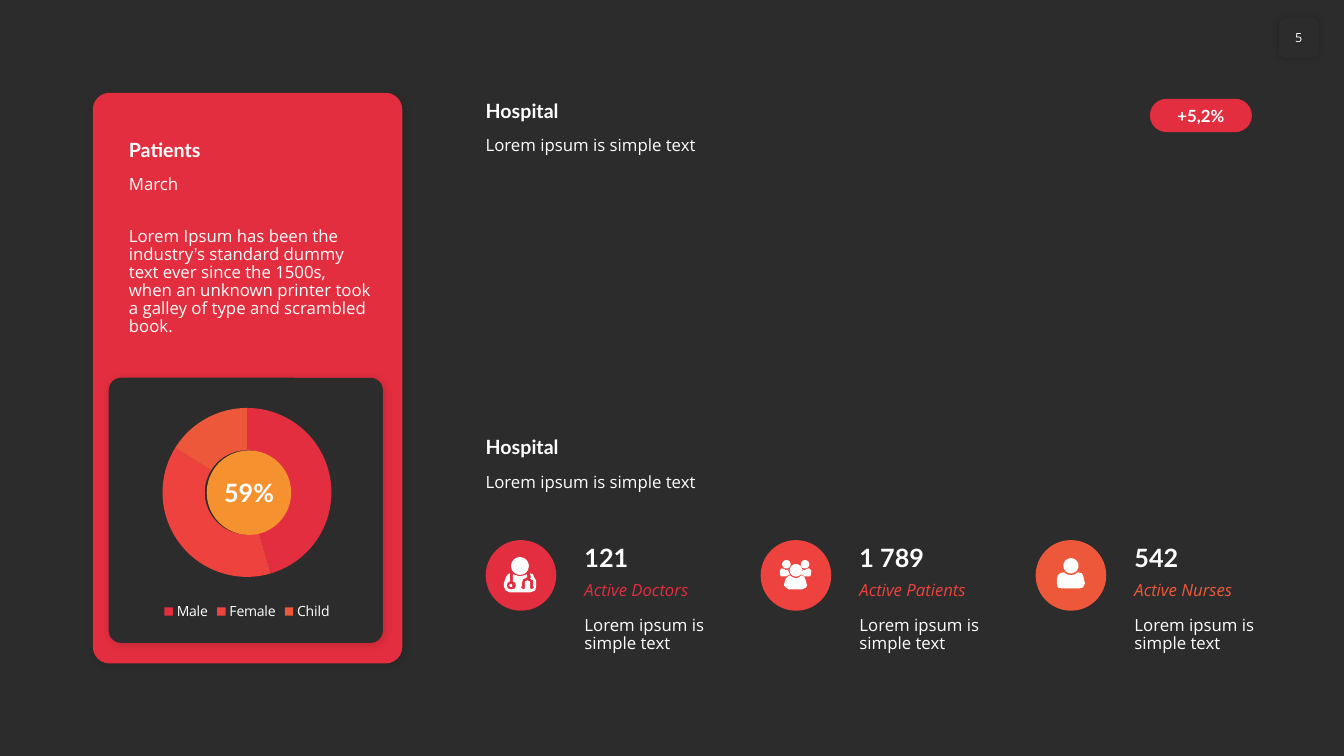
from math import cos, pi, sin

from lxml import etree
from pptx import Presentation
from pptx.chart.data import CategoryChartData
from pptx.dml.color import RGBColor
from pptx.enum.chart import XL_CHART_TYPE as ChartType, XL_LEGEND_POSITION as LegendPosition
from pptx.enum.shapes import MSO_SHAPE as Shape
from pptx.enum.text import MSO_ANCHOR as Anchor, PP_ALIGN as Align
from pptx.oxml import parse_xml
from pptx.oxml.ns import qn
from pptx.util import Cm, Pt

COLORS = {
    "dark": "2C2C2C",
    "white": "FFFFFF",
    "red": "E22E3F",
    "coral": "EE423E",
    "orange": "EE583A",
    "amber": "F5922F",
}
RGB = {name: RGBColor.from_string(value) for name, value in COLORS.items()}
HEADING, BODY = "Lato", "Open Sans"
DRAWING_NS = "http://schemas.openxmlformats.org/drawingml/2006/main"

deck = Presentation()
deck.slide_width, deck.slide_height = Cm(33.87), Cm(19.05)
slide = deck.slides.add_slide(deck.slide_layouts[6])
slide.background.fill.solid()
slide.background.fill.fore_color.rgb = RGB["dark"]


def add_solid(kind, left, top, width, height, color, radius=None, shadow=None):
    solid = slide.shapes.add_shape(kind, Cm(left), Cm(top), Cm(width), Cm(height))
    solid.fill.solid()
    solid.fill.fore_color.rgb = RGB[color]
    solid.line.fill.background()
    solid.shadow.inherit = False
    if radius is not None:
        solid.adjustments[0] = radius
    if shadow:
        alpha, blur, distance = shadow
        effects = solid._element.spPr.find(qn("a:effectLst"))
        effects.append(parse_xml(
            f'<a:outerShdw xmlns:a="{DRAWING_NS}" blurRad="{Pt(blur)}" dist="{Pt(distance)}" '
            f'dir="2700000" algn="tl" rotWithShape="0"><a:srgbClr val="000000">'
            f'<a:alpha val="{alpha * 1000}"/></a:srgbClr></a:outerShdw>'))
    return solid


def write(shape, text, size, font=BODY, color="white", italic=False,
          anchor=Anchor.TOP, align=Align.LEFT):
    frame = shape.text_frame
    frame.word_wrap = True
    frame.vertical_anchor = anchor
    frame.text = text
    paragraph = frame.paragraphs[0]
    paragraph.alignment = align
    paragraph.line_spacing = 0.9 if font == BODY else 1.0
    face = paragraph.runs[0].font
    face.name, face.size = font, Pt(size)
    face.bold, face.italic = font == HEADING, italic
    face.color.rgb = RGB[color]
    return frame


page_number = add_solid(Shape.ROUNDED_RECTANGLE, 32.23, 0.46, 1, 1, "dark", shadow=(20, 5, 0))
number_frame = write(page_number, "5", 9, anchor=Anchor.MIDDLE, align=Align.CENTER)
number_frame.margin_left = number_frame.margin_right = 0
number_frame.word_wrap = False

add_solid(Shape.ROUNDED_RECTANGLE, 2.34, 2.34, 7.8, 14.38, "red", 0.054, (15, 6, 1))
add_solid(Shape.ROUNDED_RECTANGLE, 2.74, 9.52, 6.91, 6.68, "dark", 0.047, (15, 6, 1))

for left, top, width, title, subtitle in [
    (3, 3.33, 6.65, "Patients", "March"),
    (11.99, 2.34, 19.53, "Hospital", "Lorem ipsum is simple text"),
    (11.99, 10.82, 19.53, "Hospital", "Lorem ipsum is simple text"),
]:
    title_box = slide.shapes.add_textbox(Cm(left), Cm(top), Cm(width), Cm(0.86))
    write(title_box, title, 14, HEADING, anchor=Anchor.BOTTOM)
    subtitle_box = slide.shapes.add_textbox(Cm(left), Cm(top + 0.99), Cm(width), Cm(0.76))
    write(subtitle_box, subtitle, 12)

description = slide.shapes.add_textbox(Cm(3), Cm(5.61), Cm(6.65), Cm(2.82))
write(description, "Lorem Ipsum has been the industry's standard dummy text ever since the 1500s, "
      "when an unknown printer took a galley of type and scrambled book.", 12)

patient_data = CategoryChartData()
patient_data.categories = ["Male", "Female", "Child"]
patient_data.add_series("Series 1", (45, 38, 16))
patient_chart = slide.shapes.add_chart(
    ChartType.DOUGHNUT, Cm(3), Cm(9.93), Cm(6.45), Cm(5.82), patient_data).chart
patient_chart.has_title = False
patient_chart.has_legend = True
patient_chart.legend.position = LegendPosition.BOTTOM
patient_chart.legend.include_in_layout = False
for chart_font in (patient_chart.font, patient_chart.legend.font):
    chart_font.name, chart_font.size = BODY, Pt(10)
    chart_font.color.rgb = RGB["white"]
ring = patient_chart.plots[0]
ring.vary_by_categories = True
for index, color in enumerate(("red", "coral", "orange")):
    slice_format = ring.series[0].points[index].format
    slice_format.fill.solid()
    slice_format.fill.fore_color.rgb = RGB[color]
    slice_format.line.fill.background()
ring_xml = ring._element
hole = ring_xml.find(qn("c:holeSize"))
if hole is None:
    hole = etree.SubElement(ring_xml, qn("c:holeSize"))
hole.set("val", "75")

add_solid(Shape.OVAL, 5.21, 11.35, 2.13, 2.13, "amber")
share = slide.shapes.add_textbox(Cm(5.21), Cm(11.91), Cm(2.13), Cm(1.02))
write(share, "59%", 18, HEADING, anchor=Anchor.MIDDLE, align=Align.CENTER)

doctor_body = [
    (50, 46), (49, 50), (44, 52), (24, 52), (20, 50), (18, 46), (18, 43), (19, 40), (20, 37),
    (22, 34), (24, 33), (24, 41), (22, 42), (21, 45), (22, 48), (25, 49), (29, 48), (30, 45),
    (29, 42), (27, 41), (27, 34), (34, 36), (41, 34), (41, 37), (37, 39), (36, 43), (36, 45),
    (35, 47), (36, 48), (37, 49), (39, 48), (39, 43), (39, 41), (41, 40), (44, 41), (44, 48),
    (46, 49), (47, 48), (48, 47), (47, 45), (47, 40), (44, 38), (45, 37), (44, 33), (47, 34),
    (48, 37), (50, 40), (50, 43)]
group_body = [
    (46, 45), (45, 47), (41, 49), (28, 49), (25, 47), (23, 45), (24, 41), (25, 38), (27, 36),
    (29, 35), (32, 37), (35, 38), (38, 37), (40, 35), (43, 36), (44, 38), (45, 41)]
left_shoulder = [
    (29, 34), (25, 36), (22, 36), (20, 36), (19, 34), (19, 30), (21, 28), (24, 29), (25, 30),
    (28, 29), (27, 30)]
right_shoulder = [(69 - x, y) for x, y in left_shoulder]
nurse_body = [
    (49, 43), (47, 47), (43, 48), (26, 48), (22, 47), (21, 43), (21, 39), (22, 35), (24, 33),
    (28, 32), (31, 34), (35, 35), (39, 34), (42, 32), (46, 33), (47, 35), (48, 39)]

staff = [
    ("121", "Active Doctors", "red", [doctor_body], [(34, 25.7, 8.8), (25, 45, 1.5)]),
    ("1 789", "Active Patients", "coral", [group_body, left_shoulder, right_shoulder],
     [(25.5, 24, 4.2), (44, 24, 4.2), (35, 30, 6.2)]),
    ("542", "Active Nurses", "orange", [nurse_body], [(35, 25.5, 7.5)]),
]
for column, (count, role, color, bodies, circles) in enumerate(staff):
    left, top = 12.24 + 6.93 * column, 13.61
    add_solid(Shape.OVAL, left, top, 1.78, 1.78, color)

    outlines = bodies + [
        [(x + r * cos(step * pi / 16), y + r * sin(step * pi / 16)) for step in range(32)]
        for x, y, r in circles]
    outlines = [[(x * 10, y * 10) for x, y in outline] for outline in outlines]
    builder = slide.shapes.build_freeform(*outlines[0][0], scale=Cm(2.54) / 1000)
    builder.add_line_segments(outlines[0][1:], close=True)
    for outline in outlines[1:]:
        builder.move_to(*outline[0])
        builder.add_line_segments(outline[1:], close=True)
    icon = builder.convert_to_shape(Cm(left), Cm(top))
    icon.fill.solid()
    icon.fill.fore_color.rgb = RGB["white"]
    icon.line.fill.background()
    icon.shadow.inherit = False

    for text, offset, height, size, font, ink, italic, anchor in [
        (count, -0.07, 1.02, 18, HEADING, "white", False, Anchor.BOTTOM),
        (role, 0.94, 0.76, 12, BODY, color, True, Anchor.TOP),
        ("Lorem ipsum is simple text", 1.81, 1.27, 12, BODY, "white", False, Anchor.TOP),
    ]:
        box = slide.shapes.add_textbox(Cm(left + 2.24), Cm(top + offset), Cm(3.66), Cm(height))
        write(box, text, size, font, ink, italic, anchor)

growth = add_solid(Shape.ROUNDED_RECTANGLE, 28.98, 2.49, 2.57, 0.84, "red", 0.5)
growth_frame = write(growth, "+5,2%", 12, HEADING, anchor=Anchor.MIDDLE, align=Align.CENTER)
growth_frame.margin_left = growth_frame.margin_right = 0
growth_frame.margin_top = growth_frame.margin_bottom = 0

deck.save("out.pptx")
